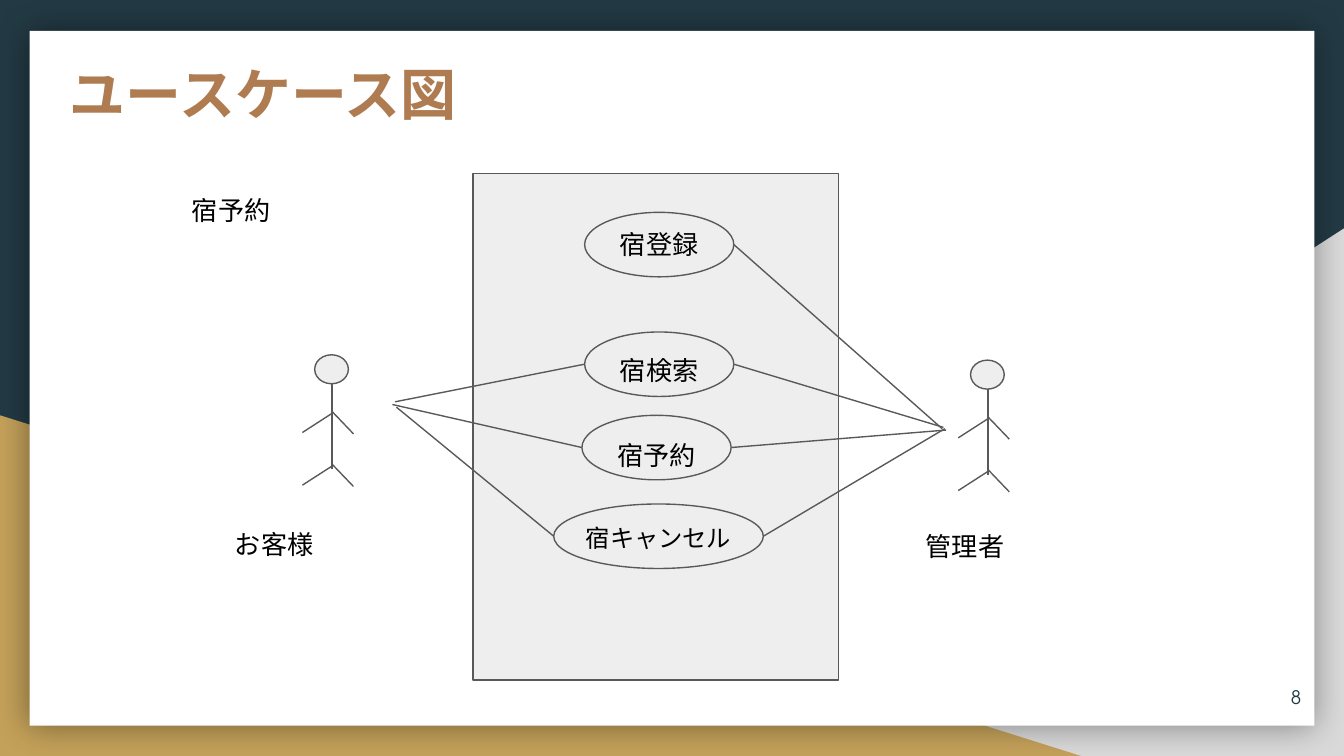
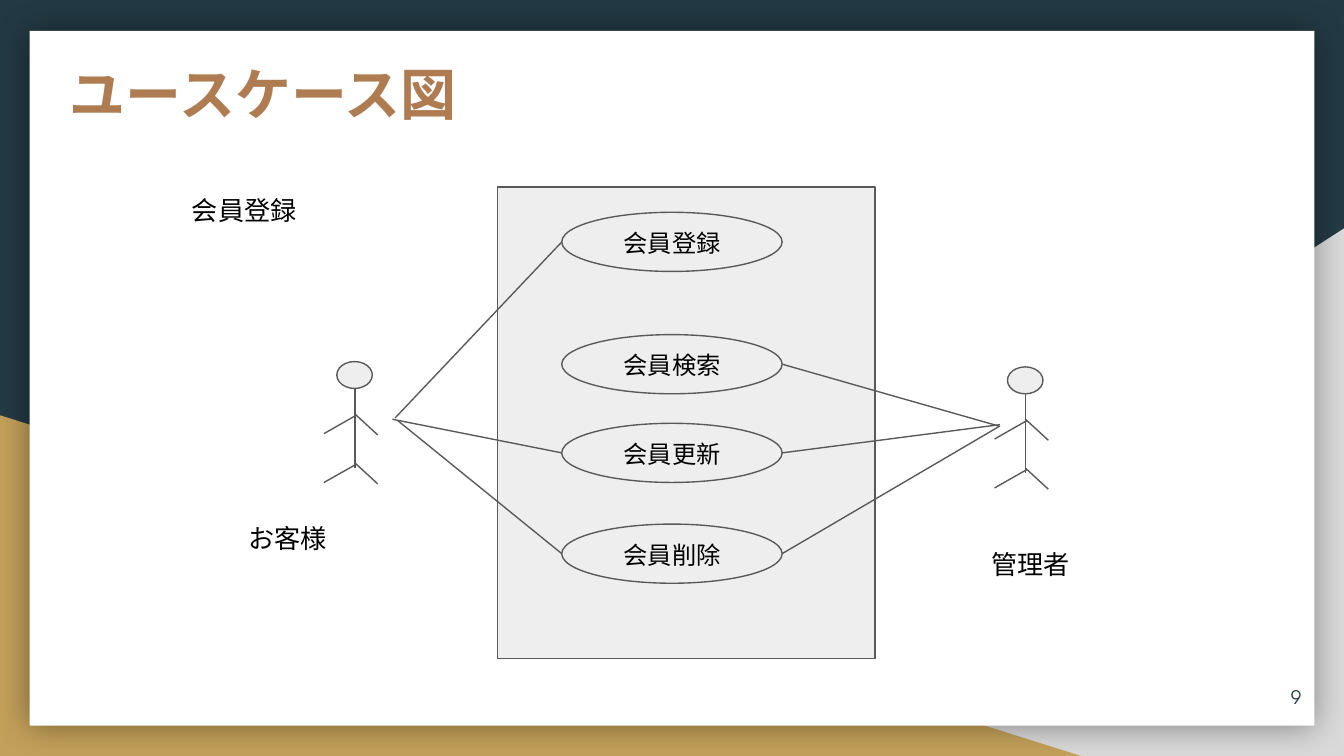
"""Build two use case diagram slides."""
from dataclasses import dataclass

import lxml.etree
import pptx
import pptx.dml.color
import pptx.enum.shapes
import pptx.enum.text
import pptx.oxml.ns
import pptx.util

Inches = pptx.util.Inches
SHAPE = pptx.enum.shapes.MSO_SHAPE
ALIGN = pptx.enum.text.PP_ALIGN
ANCHOR = pptx.enum.text.MSO_ANCHOR
AUTO = pptx.enum.text.MSO_AUTO_SIZE


@dataclass(frozen=True)
class Theme:
    """Colours, fonts and sizes shared by the slides."""
    navy: str = "233A44"
    grey: str = "D9D9D9"
    gold: str = "C4A15A"
    white: str = "FFFFFF"
    brown: str = "AF7B51"
    panel: str = "EEEEEE"
    line: str = "595959"
    black: str = "000000"
    heading_font: str = "Noto Sans CJK JP"
    body_font: str = "Arial"
    number_font: str = "TeX Gyre Adventor"
    title_pt: int = 30
    body_pt: int = 14
    case_pt: int = 13
    number_pt: int = 10
    line_pt: float = 0.75


@dataclass(frozen=True)
class UseCase:
    """One oval, its label and the points its links reach."""
    name: str
    box: tuple
    label_w: float
    label_dy: float
    size: int
    customer: tuple = None
    admin: tuple = None


@dataclass(frozen=True)
class Actor:
    """One stick figure and its caption."""
    name: str
    box: tuple
    caption: tuple


@dataclass(frozen=True)
class Diagram:
    """The content of one slide."""
    number: int
    topic: str
    system: tuple
    actors: tuple
    cases: tuple


T = Theme()
SLIDE_W = 10
SLIDE_H = SLIDE_W * 9 / 16
TITLE = "ユースケース図"


def rgb(value):
    """Turn a hex string into a colour."""
    return pptx.dml.color.RGBColor.from_string(value)


def child(parent, tag, **attrs):
    """Append a DrawingML element."""
    el = lxml.etree.SubElement(parent, pptx.oxml.ns.qn(tag))
    for key, value in attrs.items():
        el.set(key, str(value))
    return el


def add_shape(slide, kind, box, fill, line=None):
    """Add a flat preset shape."""
    sp = slide.shapes.add_shape(kind, *map(Inches, box))
    sp.shadow.inherit = False
    sp.fill.solid()
    sp.fill.fore_color.rgb = rgb(fill)
    if line:
        sp.line.color.rgb = rgb(line)
        sp.line.width = pptx.util.Pt(T.line_pt)
    else:
        sp.line.fill.background()
    return sp


def add_line(slide, start, end):
    """Add a thin straight connector."""
    cx = slide.shapes.add_connector(
        pptx.enum.shapes.MSO_CONNECTOR.STRAIGHT, *map(Inches, (*start, *end)))
    cx.line.color.rgb = rgb(T.line)
    cx.line.width = pptx.util.Pt(T.line_pt)
    child(cx.element.spPr, "a:effectLst")


def write(sp, text, size, font, color, align=ALIGN.LEFT, anchor=ANCHOR.TOP,
          bold=False):
    """Write one formatted run into a shape."""
    tf = sp.text_frame
    tf.word_wrap = True
    tf.auto_size = AUTO.NONE
    tf.vertical_anchor = anchor
    tf.margin_left = tf.margin_top = Inches(0.1)
    tf.margin_right = tf.margin_bottom = Inches(0.1)
    p = tf.paragraphs[0]
    p.alignment = align
    r = p.add_run()
    r.text = text
    r.font.size = pptx.util.Pt(size)
    r.font.name = font
    r.font.bold = bold
    r.font.color.rgb = rgb(color)
    props = sp.element.find(".//" + pptx.oxml.ns.qn("a:rPr"))
    child(props, "a:ea", typeface=T.heading_font)


def add_text(slide, box, text, size=T.body_pt, font=T.body_font, color=T.black,
             **style):
    """Add a text box."""
    sp = slide.shapes.add_textbox(*map(Inches, box))
    write(sp, text, size, font, color, **style)


def build_backdrop(slide, layout):
    """Give the layout its background, triangles and white card."""
    layout.background.fill.solid()
    layout.background.fill.fore_color.rgb = rgb(T.navy)
    for ph in list(layout.placeholders):
        if ph.placeholder_format.idx:
            ph.element.getparent().remove(ph.element)
    right = add_shape(slide, SHAPE.RIGHT_TRIANGLE, (3.92, 1.7, 6.08, 3.93), T.grey)
    right.element.spPr.xfrm.set("flipH", "1")
    left = add_shape(slide, SHAPE.RIGHT_TRIANGLE, (0, 3.09, 8.06, 2.54), T.gold)
    card = add_shape(slide, SHAPE.RECTANGLE, (0.22, 0.23, 9.56, 5.17), T.white)
    effects = card.element.spPr.find(pptx.oxml.ns.qn("a:effectLst"))
    shadow = child(effects, "a:outerShdw", blurRad=pptx.util.Pt(18), dist=0, dir=0,
                   algn="ctr", rotWithShape=0)
    child(child(shadow, "a:srgbClr", val=T.black), "a:alpha", val=40000)
    for i, sp in enumerate((right, left, card)):
        layout.shapes.element.insert(2 + i, sp.element)


def build_frame(slide, number):
    """Fill the title and the page number."""
    sp = slide.shapes.title
    sp.left, sp.top, sp.width, sp.height = map(Inches, (0.42, 0.34, 8.21, 1.04))
    write(sp, TITLE, T.title_pt, T.heading_font, T.brown, bold=True)
    add_text(slide, (9.18, 4.97, 0.6, 0.43), str(number), T.number_pt,
             T.number_font, T.navy, align=ALIGN.RIGHT, anchor=ANCHOR.MIDDLE)


def build_actor(slide, actor):
    """Draw a stick figure inside its box, with its caption."""
    x, y, w, h = actor.box

    def at(fx, fy):
        """Place a point by its share of the box."""
        return x + fx * w, y + fy * h

    add_shape(slide, SHAPE.OVAL, (*at(0.24, 0), 0.66 * w, 0.22 * h), T.panel, T.line)
    add_line(slide, at(0.58, 0.22), at(0.58, 0.87))
    for joint, tip in ((0.43, 0.59), (0.83, 0.99)):
        add_line(slide, at(0.6, joint + 0.01), at(0, tip))
        add_line(slide, at(0.58, joint), at(1, tip + 0.01))
    add_text(slide, (*actor.caption, 1.6, 0.44), actor.name)


def build_case(slide, case):
    """Draw a use case oval, its label and its links."""
    x, y, w, h = case.box
    add_shape(slide, SHAPE.OVAL, case.box, T.panel, T.line)
    add_text(slide, (x + (w - case.label_w) / 2, y + case.label_dy, case.label_w, 0.44),
             case.name, case.size, align=ALIGN.CENTER)
    for edge, hand in ((x, case.customer), (x + w, case.admin)):
        if hand:
            add_line(slide, (edge, y + h / 2), hand)


def build_diagram(slide, diagram):
    """Lay out a whole use case slide."""
    build_frame(slide, diagram.number)
    add_shape(slide, SHAPE.RECTANGLE, diagram.system, T.panel, T.line)
    add_text(slide, (1.33, 1.35, 1.69, 0.44), diagram.topic)
    for actor in diagram.actors:
        build_actor(slide, actor)
    for case in diagram.cases:
        build_case(slide, case)


def member_case(name, top, **links):
    """Describe a use case in the membership column."""
    return UseCase(name, (4.18, top, 1.64, 0.44), 1.19, 0.02, T.case_pt, **links)


DIAGRAMS = (
    Diagram(
        8, "宿予約", (3.52, 1.29, 2.72, 3.77),
        (Actor("お客様", (2.25, 2.64, 0.38, 0.98), (1.65, 3.83)),
         Actor("管理者", (7.13, 2.68, 0.38, 0.98), (6.79, 3.85))),
        (UseCase("宿登録", (4.35, 1.58, 1.11, 0.48), 0.8, 0.02, T.body_pt,
                 admin=(7.01, 3.19)),
         UseCase("宿検索", (4.35, 2.47, 1.11, 0.48), 0.8, 0.07, T.body_pt,
                 (2.94, 2.99), (7.02, 3.18)),
         UseCase("宿予約", (4.33, 3.09, 1.11, 0.48), 0.8, 0.08, T.body_pt,
                 (2.92, 3.01), (7.04, 3.2)),
         UseCase("宿キャンセル", (4.12, 3.75, 1.56, 0.48), 1.35, 0.04, T.case_pt,
                 (2.95, 3.03), (7.03, 3.19)))),
    Diagram(
        9, "会員登録", (3.7, 1.39, 2.81, 3.51),
        (Actor("お客様", (2.41, 2.69, 0.4, 0.91), (1.75, 3.79)),
         Actor("管理者", (7.4, 2.73, 0.4, 0.91), (7.28, 3.98))),
        (member_case("会員登録", 1.58, customer=(2.94, 3.11)),
         member_case("会員検索", 2.49, admin=(7.43, 3.17)),
         member_case("会員更新", 3.15, customer=(2.92, 3.12), admin=(7.44, 3.16)),
         member_case("会員削除", 3.9, customer=(2.96, 3.13), admin=(7.44, 3.17)))),
)


def main():
    """Build and save the presentation."""
    prs = pptx.Presentation()
    prs.slide_width, prs.slide_height = Inches(SLIDE_W), Inches(SLIDE_H)
    layout = prs.slide_layouts[5]
    for i, diagram in enumerate(DIAGRAMS):
        slide = prs.slides.add_slide(layout)
        if i == 0:
            build_backdrop(slide, layout)
        build_diagram(slide, diagram)
    prs.save("out.pptx")


if __name__ == "__main__":
    main()
